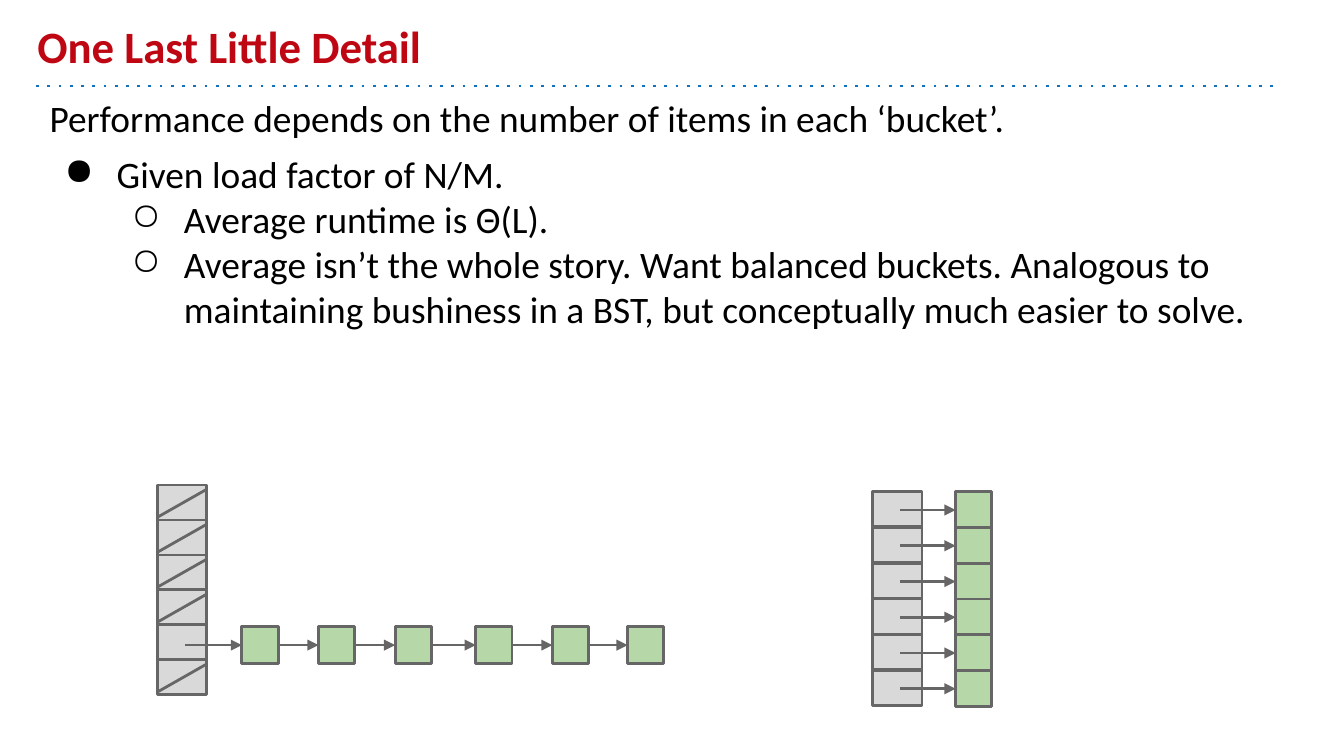
from dataclasses import dataclass

from lxml.etree import SubElement
from pptx import Presentation
from pptx.dml.color import RGBColor
from pptx.enum.shapes import MSO_CONNECTOR, MSO_SHAPE
from pptx.enum.text import MSO_ANCHOR
from pptx.oxml.ns import qn
from pptx.util import Inches, Pt


@dataclass(frozen=True)
class Theme:
    font: str = "Calibri"
    title_size: int = 24
    body_size: int = 20
    line_width: float = 1.5
    title: str = "BE0712"
    text: str = "000000"
    rule: str = "1072BD"
    bucket: str = "D9D9D9"
    item: str = "B6D7A8"
    outline: str = "666666"


THEME = Theme()
LEFT, RIGHT = 1, 3  # connection sites of a rectangle
ROWS = 6
BUCKET_W, BUCKET_H = 0.37, 0.26
ITEM_W = 0.27
BODY = [
    ("Performance depends on the number of items in each ‘bucket’.", 0, None),
    ("Given load factor of N/M.", 0, "●"),
    ("Average runtime is Θ(L).", 1, "○"),
    ("Average isn’t the whole story. Want balanced buckets. Analogous to "
     "maintaining bushiness in a BST, but conceptually much easier to solve.", 1, "○"),
]


def add_bullet(p, char, level):
    pPr = p._p.get_or_add_pPr()
    pPr.set("marL", str(Inches(0.5 * (level + 1))))
    pPr.set("indent", str(Inches(-0.39)))
    color = SubElement(pPr, qn("a:buClr"))
    SubElement(color, qn("a:srgbClr"), val=THEME.text)
    SubElement(pPr, qn("a:buChar"), char=char)


def write(p, text, *, size, color=THEME.text, bold=False, before=0, level=0, bullet=None):
    p.level = level
    p.space_before = Pt(before)
    if bullet:
        add_bullet(p, bullet, level)
    r = p.add_run()
    r.text = text
    r.font.name = THEME.font
    r.font.size = Pt(size)
    r.font.bold = bold
    r.font.color.rgb = RGBColor.from_string(color)


def add_frame(s, x, y, w, h, anchor=MSO_ANCHOR.TOP):
    tf = s.shapes.add_textbox(Inches(x), Inches(y), Inches(w), Inches(h)).text_frame
    tf.word_wrap = True
    tf.vertical_anchor = anchor
    tf.margin_left = tf.margin_right = tf.margin_top = tf.margin_bottom = Inches(0.1)
    return tf


def add_box(shapes, x, y, w, h, fill):
    sp = shapes.add_shape(MSO_SHAPE.RECTANGLE, Inches(x), Inches(y), Inches(w), Inches(h))
    sp.shadow.inherit = False
    sp.fill.solid()
    sp.fill.fore_color.rgb = RGBColor.from_string(fill)
    sp.line.color.rgb = RGBColor.from_string(THEME.outline)
    sp.line.width = Pt(THEME.line_width)
    return sp


def add_line(shapes, x1, y1, x2, y2, color=THEME.outline, dash=None, arrow=False):
    line = shapes.add_connector(
        MSO_CONNECTOR.STRAIGHT, Inches(x1), Inches(y1), Inches(x2), Inches(y2))
    line.line.color.rgb = RGBColor.from_string(color)
    line.line.width = Pt(THEME.line_width)
    ln = line._element.spPr.find(qn("a:ln"))
    if dash:
        SubElement(ln, qn("a:prstDash"), val=dash)
    if arrow:
        SubElement(ln, qn("a:tailEnd"), type="triangle")
    SubElement(line._element.spPr, qn("a:effectLst"))
    return line


def add_empty_bucket(s, x, y):
    """Group a bucket with the diagonal that marks it as empty."""
    shapes = s.shapes.add_group_shape().shapes
    add_box(shapes, x, y, BUCKET_W, BUCKET_H, THEME.bucket)
    add_line(shapes, x, y + 0.24, x + BUCKET_W, y + 0.03)


def add_pointer(s, x, y, item):
    """Draw the arrow from inside a bucket to its first item."""
    arrow = add_line(s.shapes, x + 0.21, y, x + 0.62, y, arrow=True)
    arrow.end_connect(item, LEFT)


def draw_unbalanced(s, x, y, full_row=4):
    for row in range(ROWS):
        top = y + row * BUCKET_H
        if row == full_row:
            add_box(s.shapes, x, top, BUCKET_W, BUCKET_H, THEME.bucket)
        else:
            add_empty_bucket(s, x, top)

    item_h = 0.28
    top = y + full_row * BUCKET_H + 0.01
    items = [add_box(s.shapes, left, top, ITEM_W, item_h, THEME.item)
             for left in (1.8, 2.37, 2.94, 3.54, 4.11, 4.67)]
    middle = top + item_h / 2
    add_pointer(s, x, middle, items[0])
    for a, b in zip(items, items[1:]):
        arrow = add_line(s.shapes, x, middle, x, middle, arrow=True)
        arrow.begin_connect(a, RIGHT)
        arrow.end_connect(b, LEFT)


def draw_balanced(s, x, y, bottom=5.25):
    pitch = (bottom - y - BUCKET_H) / (ROWS - 1)
    for row in range(ROWS):
        top = y + row * pitch
        add_box(s.shapes, x, top, BUCKET_W, BUCKET_H, THEME.bucket)
        item = add_box(s.shapes, x + 0.62, top, ITEM_W, ITEM_W, THEME.item)
        add_pointer(s, x, top + ITEM_W / 2, item)


def main():
    prs = Presentation()
    prs.slide_width = Inches(10)
    prs.slide_height = prs.slide_width * 9 // 16
    s = prs.slides.add_slide(prs.slide_layouts[6])

    add_line(s.shapes, 0.27, 0.64, 9.5, 0.64, color=THEME.rule, dash="dot")
    tf = add_frame(s, 0.18, 0.1, 9, 0.54, MSO_ANCHOR.BOTTOM)
    write(tf.paragraphs[0], "One Last Little Detail",
          size=THEME.title_size, color=THEME.title, bold=True)

    tf = add_frame(s, 0.27, 0.61, 9.52, 2.73)
    for i, (text, level, bullet) in enumerate(BODY):
        p = tf.add_paragraph() if i else tf.paragraphs[0]
        write(p, text, size=THEME.body_size, level=level, bullet=bullet,
              before=0 if level else 6)

    draw_unbalanced(s, 1.17, 3.61)
    draw_balanced(s, 6.49, 3.66)
    prs.save("out.pptx")


if __name__ == "__main__":
    main()
